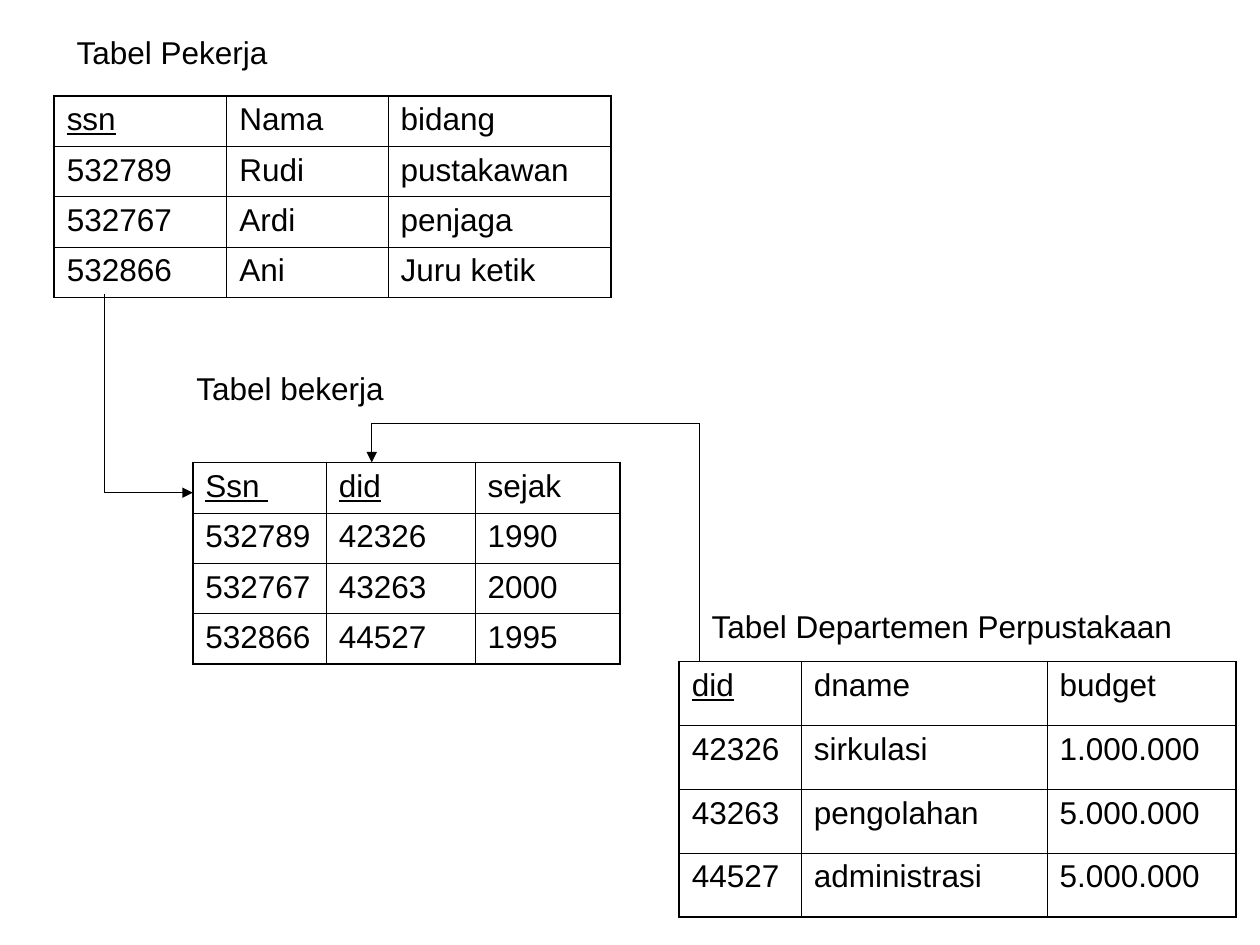
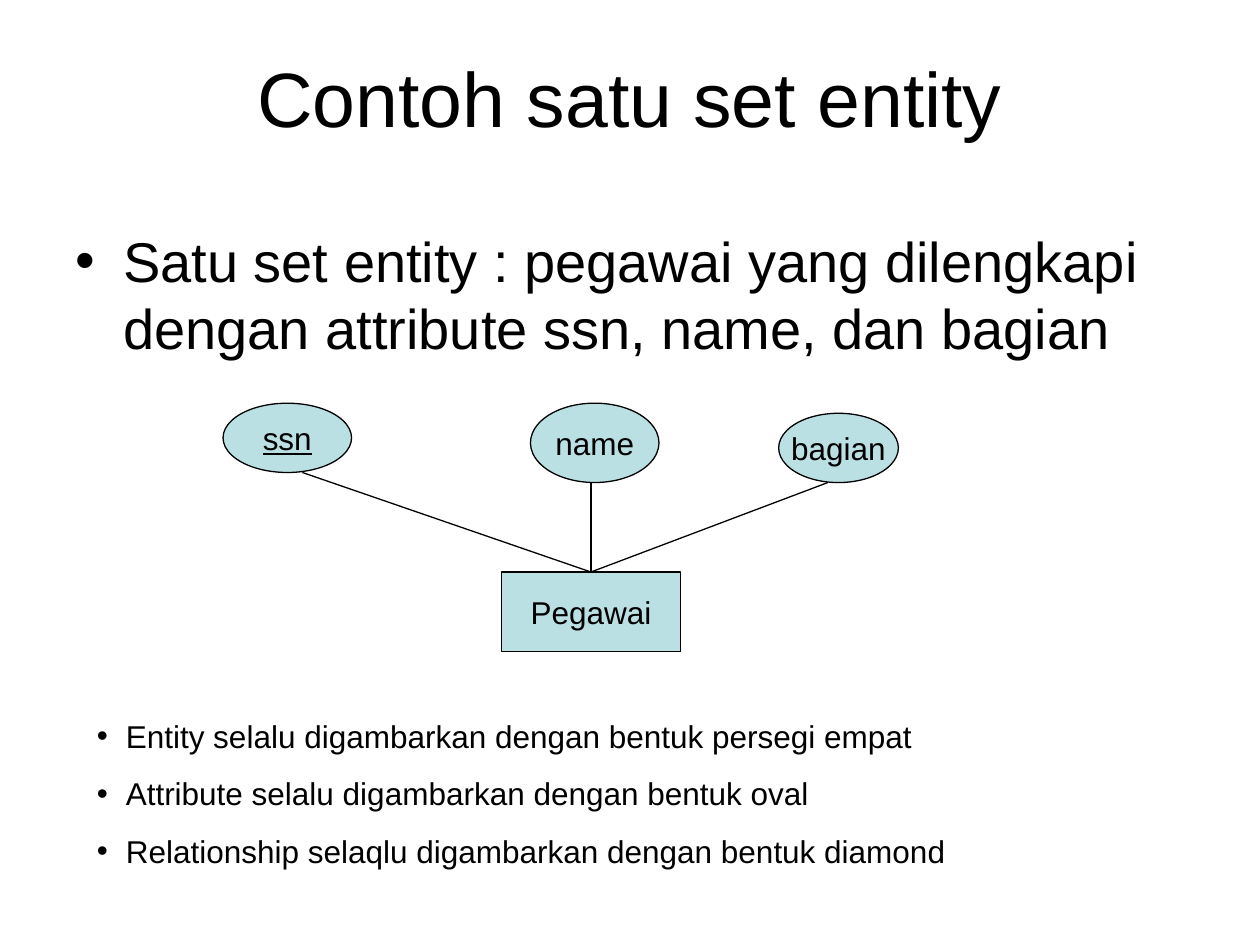
"""Builds two slides on relational tables and a single entity set."""
from itertools import pairwise

from lxml.etree import SubElement
from pptx import Presentation
from pptx.dml.color import RGBColor
from pptx.enum.shapes import MSO_CONNECTOR as Connector, MSO_SHAPE as Shape
from pptx.enum.text import MSO_ANCHOR as Anchor, PP_ALIGN as Align
from pptx.oxml.ns import qn
from pptx.util import Inches, Pt

FONT, INK, PAPER, ACCENT = "Arial", "000000", "FFFFFF", "BBE0E3"
TITLE_SIZE, BODY_SIZE, TEXT_SIZE = 44, 32, 18
OUTER, INNER, LINE = 1.08, 0.45, 0.75

TABLES = [
    dict(caption="Tabel Pekerja", caption_box=(0.51, 0.21, 2.2, 0.4),
         corner=(0.43, 0.76), columns=(1.37, 1.28, 1.77), row=0.4, keys=1,
         rows=[("ssn", "Nama", "bidang"),
               ("532789", "Rudi", "pustakawan"),
               ("532767", "Ardi", "penjaga"),
               ("532866", "Ani", "Juru ketik")]),
    dict(caption="Tabel bekerja", caption_box=(1.46, 2.88, 3.23, 0.4),
         corner=(1.53, 3.67), columns=(1.06, 1.18, 1.15), row=0.4, keys=2,
         rows=[("Ssn ", "did", "sejak"),
               ("532789", "42326", "1990"),
               ("532767", "43263", "2000"),
               ("532866", "44527", "1995")]),
    dict(caption="Tabel Departemen Perpustakaan", caption_box=(5.55, 4.77, 4.17, 0.4),
         corner=(5.39, 5.25), columns=(0.97, 1.95, 1.5), row=0.507, keys=1,
         rows=[("did", "dname", "budget"),
               ("42326", "sirkulasi", "1.000.000"),
               ("43263", "pengolahan", "5.000.000"),
               ("44527", "administrasi", "5.000.000")]),
]
KEY_ROUTES = [
    [(0.83, 2.33), (0.83, 3.91), (1.53, 3.91)],
    [(5.55, 5.25), (5.55, 3.36), (2.95, 3.36), (2.95, 3.67)],
]

TITLE = "Contoh satu set entity"
INTRO = ["Satu set entity : pegawai yang dilengkapi dengan attribute ssn, name, dan bagian"]
ENTITY = ("Pegawai", (3.98, 4.54, 1.42, 0.63))
ATTRIBUTES = [
    ("ssn", (1.77, 3.2, 1.02, 0.55), 2.4, True),
    ("name", (4.21, 3.2, 1.02, 0.63), 4.69, False),
    ("bagian", (6.18, 3.28, 0.95, 0.55), 6.57, False),
]
RULES = [
    "Entity selalu digambarkan dengan bentuk persegi empat",
    "Attribute selalu digambarkan dengan bentuk oval",
    "Relationship selaqlu digambarkan dengan bentuk diamond",
]


def color(value):
    return RGBColor.from_string(value)


def inches(values):
    return [Inches(value) for value in values]


def write(paragraph, text, size=TEXT_SIZE, underline=False, before=0):
    paragraph.space_before = Pt(before)
    run = paragraph.add_run()
    run.text = text
    run.font.name, run.font.size = FONT, Pt(size)
    run.font.color.rgb = color(INK)
    if underline:
        run.font.underline = True


def add_bullet(paragraph, indent):
    properties = paragraph._p.get_or_add_pPr()
    properties.set("marL", str(Inches(indent)))
    properties.set("indent", str(-Inches(indent)))
    SubElement(properties, qn("a:buFont"), typeface=FONT)
    SubElement(properties, qn("a:buChar"), char="•")


def add_text(slide, box, lines, size=TEXT_SIZE, before=11.2, indent=0):
    frame = slide.shapes.add_textbox(*inches(box)).text_frame
    frame.word_wrap = True
    for index, line in enumerate(lines):
        paragraph = frame.add_paragraph() if index else frame.paragraphs[0]
        write(paragraph, line, size, before=before)
        if indent:
            add_bullet(paragraph, indent)
    return frame


def add_line(slide, start, end, arrow=False):
    line = slide.shapes.add_connector(Connector.STRAIGHT, *inches(start + end))
    line.line.color.rgb, line.line.width = color(INK), Pt(LINE)
    if arrow:
        SubElement(line.line._get_or_add_ln(), qn("a:tailEnd"), type="triangle")
    SubElement(line._element.spPr, qn("a:effectLst"))


def add_node(slide, kind, box, text, underline=False):
    shape = slide.shapes.add_shape(kind, *inches(box))
    shape.shadow.inherit = False
    shape.fill.solid()
    shape.fill.fore_color.rgb = color(ACCENT)
    shape.line.color.rgb, shape.line.width = color(INK), Pt(LINE)
    frame = shape.text_frame
    frame.word_wrap, frame.vertical_anchor = False, Anchor.MIDDLE
    frame.paragraphs[0].alignment = Align.CENTER
    write(frame.paragraphs[0], text, underline=underline)


def add_border(cell, side, width):
    line = SubElement(cell._tc.get_or_add_tcPr(), qn(f"a:ln{side}"), w=str(Pt(width)))
    fill = SubElement(line, qn("a:solidFill"))
    SubElement(fill, qn("a:srgbClr"), val=INK)


def add_table(slide, corner, columns, row, rows, keys):
    size = (sum(columns), row * len(rows))
    table = slide.shapes.add_table(len(rows), len(columns), *inches(corner + size)).table
    table.first_row = table.horz_banding = False
    for column, width in zip(table.columns, columns):
        column.width = Inches(width)
    for r, values in enumerate(rows):
        table.rows[r].height = Inches(row)
        for c, value in enumerate(values):
            cell = table.cell(r, c)
            write(cell.text_frame.paragraphs[0], value, underline=r == 0 and c < keys, before=4.5)
            edges = {"L": c == 0, "R": c == len(columns) - 1, "T": r == 0, "B": r == len(rows) - 1}
            for side, outside in edges.items():
                add_border(cell, side, OUTER if outside else INNER)
            cell.fill.background()


def add_slide(presentation):
    slide = presentation.slides.add_slide(presentation.slide_layouts[6])
    slide.background.fill.solid()
    slide.background.fill.fore_color.rgb = color(PAPER)
    return slide


def build_tables(slide):
    for item in TABLES:
        add_table(slide, item["corner"], item["columns"], item["row"], item["rows"], item["keys"])
        add_text(slide, item["caption_box"], [item["caption"]])
    for route in KEY_ROUTES:
        for start, end in pairwise(route):
            add_line(slide, start, end, arrow=end == route[-1])


def build_entity(slide):
    title = add_text(slide, (0.5, 0.3, 9, 0.93), [TITLE], TITLE_SIZE, before=0)
    title.vertical_anchor = Anchor.MIDDLE
    title.paragraphs[0].alignment = Align.CENTER
    add_text(slide, (0.5, 1.75, 9, 1.21), INTRO, BODY_SIZE, before=8, indent=0.38)
    name, box = ENTITY
    left, top, width, _ = box
    add_node(slide, Shape.RECTANGLE, box, name)
    for text, oval, end, is_key in ATTRIBUTES:
        add_node(slide, Shape.OVAL, oval, text, is_key)
        add_line(slide, (left + width / 2, top), (end, oval[1] + oval[3]))
    add_text(slide, (0.67, 5.64, 8.19, 1.32), RULES, indent=0.23)


def main():
    presentation = Presentation()
    presentation.slide_width, presentation.slide_height = inches((10, 7.5))
    for build in (build_tables, build_entity):
        build(add_slide(presentation))
    presentation.save("out.pptx")


if __name__ == "__main__":
    main()
